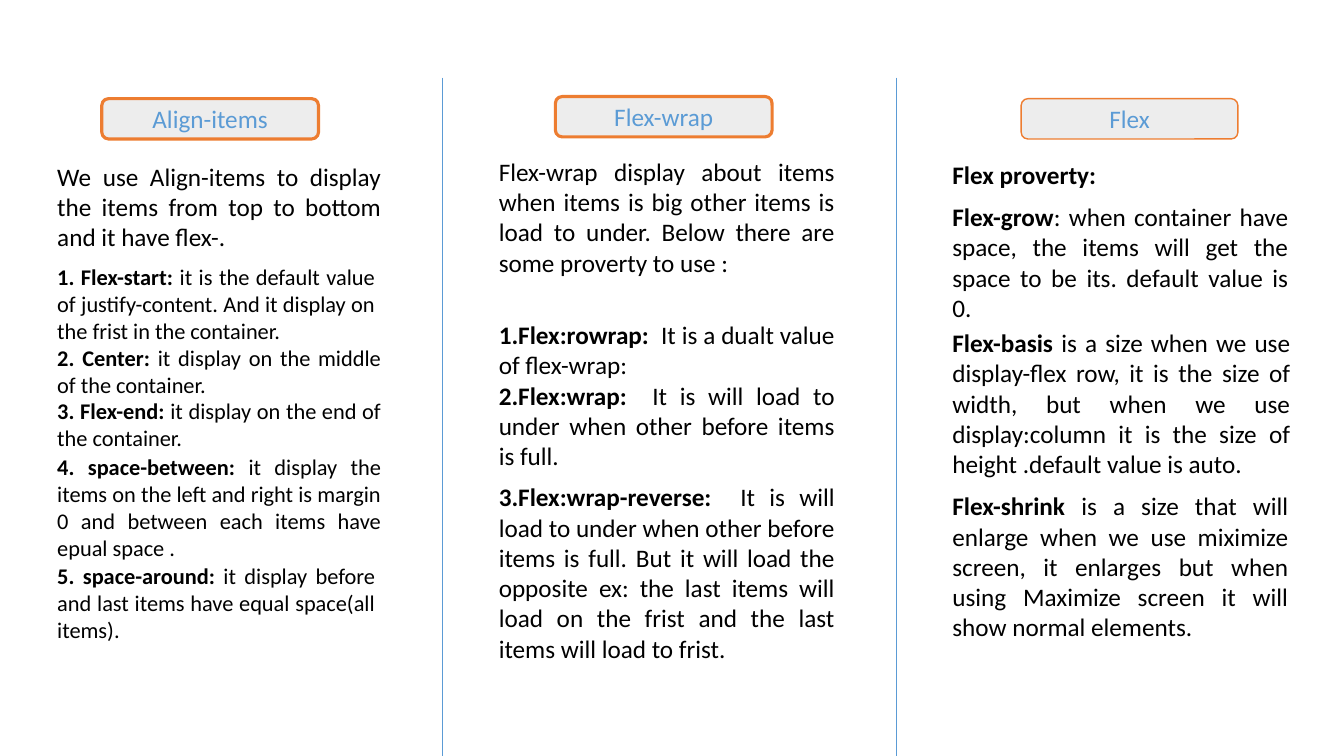
from dataclasses import dataclass

from lxml.etree import SubElement
from pptx import Presentation
from pptx.dml.color import RGBColor
from pptx.enum.shapes import MSO_CONNECTOR, MSO_SHAPE
from pptx.enum.text import MSO_ANCHOR, MSO_AUTO_SIZE, PP_ALIGN
from pptx.oxml.ns import qn
from pptx.util import Pt


@dataclass(frozen=True)
class Theme:
    font: str = "Calibri"
    ink: RGBColor = RGBColor(0x00, 0x00, 0x00)
    blue: RGBColor = RGBColor(0x5B, 0x9B, 0xD5)
    orange: RGBColor = RGBColor(0xED, 0x7D, 0x31)
    grey: RGBColor = RGBColor(0xED, 0xED, 0xED)
    large: float = 18
    small: float = 16
    line_spacing: float = 1.22
    inset: float = 3.6


SLIDE_WIDTH, SLIDE_HEIGHT = 960, 540
DIVIDER_TOP = 55.5
DIVIDERS = (316, 640)
HEADING_WIDTH, HEADING_HEIGHT = 154.8, 28.8
THEME = Theme()

# Headings: text, left, top, outline width
HEADINGS = (
    ("Align-items", 72.7, 70.5, 2.25),
    ("Flex-wrap", 396.7, 69, 2.25),
    ("Flex", 729.4, 70.5, 1),
)

# Columns: left, then notes as top, width, line count, type size, bold term, text
COLUMNS = (
    (33.8, (
        (111.6, 245.5, 3, THEME.large, "",
         "We use Align-items to display the items from top to bottom and it have flex-. "),
        (184.3, 241.2, 3, THEME.small, "1. Flex-start:",
         " it is the default value of justify-content. And it display on the frist in the container."),
        (242.6, 245.5, 2, THEME.small, "2. Center:",
         " it display on the middle of the container."),
        (280, 245.5, 2, THEME.small, "3. Flex-end:",
         " it display on the end of the container."),
        (320.4, 245.5, 4, THEME.small, "4. space-between:",
         " it display the items on the left and right is margin 0 and between each items have epual space ."),
        (398.2, 241.2, 3, THEME.small, "5. space-around:",
         " it display before and last items have equal space(all items)."),
    )),
    (349.2, (
        (108, 254.2, 4, THEME.large, "",
         "Flex-wrap display about items when items is big other items is load to under. "
         "Below there are some proverty to use :"),
        (224.6, 254.2, 2, THEME.large, "1.Flex:rowrap:  ",
         "It is a dualt value of flex-wrap: "),
        (267.8, 254.2, 3, THEME.large, "2.Flex:wrap:  ",
         "It is will load to under when other before items is full."),
        (340.6, 254.2, 6, THEME.large, "3.Flex:wrap-reverse:  ",
         "It is will load to under when other before items is full. But it will load the "
         "opposite ex: the last items will load on the frist and the last items will load to frist."),
    )),
    (673.2, (
        (110.2, 254.2, 1, THEME.large, "Flex proverty:", ""),
        (140.4, 254.2, 4, THEME.large, "Flex-grow",
         ": when container have space, the items will get the space to be its. default value is 0."),
        (230.4, 255.6, 5, THEME.large, "Flex-basis ",
         "is a size when we use display-flex row, it is the size of width, but when we use "
         "display:column it is the size of height .default value is auto."),
        (347, 254.2, 5, THEME.large, "Flex-shrink ",
         "is a size that will enlarge when we use miximize screen, it enlarges but when using "
         "Maximize screen it will show normal elements."),
    )),
)


def set_format(target, values):
    for name, value in values.items():
        setattr(target, name, value)


class SlideBuilder:
    def __init__(self, page, theme):
        self.page = page
        self.theme = theme

    def add_span(self, para, text, size, color, bold=False):
        span = para.add_run()
        span.text = text
        set_format(span.font, {"name": self.theme.font, "size": Pt(size), "bold": bold})
        span.font.color.rgb = color

    def divider(self, x):
        line = self.page.shapes.add_connector(
            MSO_CONNECTOR.STRAIGHT, Pt(x), Pt(DIVIDER_TOP), Pt(x), Pt(SLIDE_HEIGHT))
        line.line.color.rgb = self.theme.blue
        line.line.width = Pt(0.5)
        SubElement(line._element.spPr, qn("a:effectLst"))

    def heading(self, text, left, top, outline):
        box = self.page.shapes.add_shape(
            MSO_SHAPE.ROUNDED_RECTANGLE, Pt(left), Pt(top), Pt(HEADING_WIDTH), Pt(HEADING_HEIGHT))
        box.shadow.inherit = False
        box.fill.solid()
        box.fill.fore_color.rgb = self.theme.grey
        box.line.color.rgb = self.theme.orange
        box.line.width = Pt(outline)
        box.text_frame.vertical_anchor = MSO_ANCHOR.MIDDLE
        para = box.text_frame.paragraphs[0]
        para.alignment = PP_ALIGN.CENTER
        self.add_span(para, text, self.theme.large, self.theme.blue)

    def note(self, left, top, width, lines, size, term, text):
        """Add a justified text box that opens with a bold term."""
        height = lines * size * self.theme.line_spacing + 2 * self.theme.inset
        box = self.page.shapes.add_textbox(Pt(left), Pt(top), Pt(width), Pt(height))
        set_format(box.text_frame, {"word_wrap": True, "auto_size": MSO_AUTO_SIZE.SHAPE_TO_FIT_TEXT})
        para = box.text_frame.paragraphs[0]
        para.alignment = PP_ALIGN.JUSTIFY
        for content, bold in ((term, True), (text, False)):
            if content:
                self.add_span(para, content, size, self.theme.ink, bold)


def main():
    deck = Presentation()
    set_format(deck, {"slide_width": Pt(SLIDE_WIDTH), "slide_height": Pt(SLIDE_HEIGHT)})
    page = deck.slides.add_slide(deck.slide_layouts.get_by_name("Blank"))
    builder = SlideBuilder(page, THEME)
    for x in DIVIDERS:
        builder.divider(x)
    for heading in HEADINGS:
        builder.heading(*heading)
    for left, notes in COLUMNS:
        for note in notes:
            builder.note(left, *note)
    deck.save("out.pptx")


if __name__ == "__main__":
    main()
